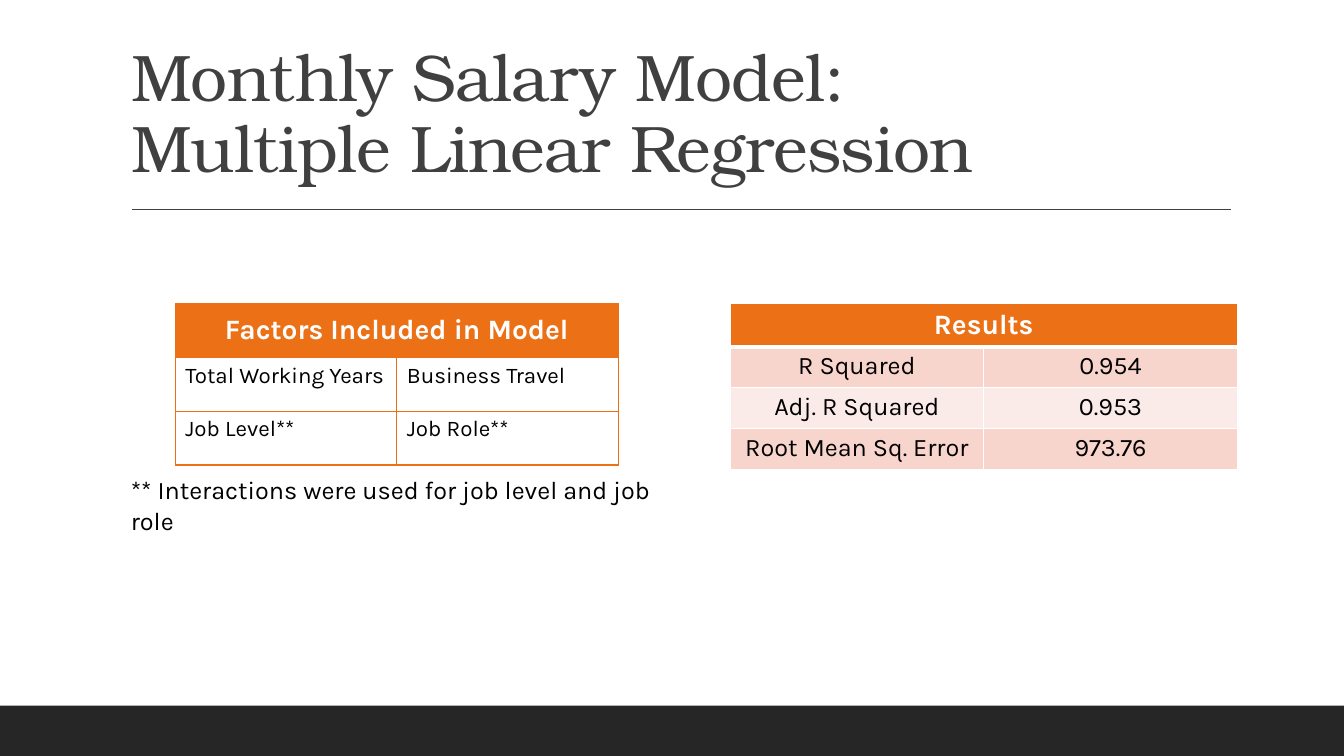
from dataclasses import dataclass
from typing import Optional

from lxml.etree import SubElement
from pptx import Presentation
from pptx.dml.color import RGBColor
from pptx.enum.shapes import MSO_CONNECTOR, MSO_SHAPE
from pptx.enum.text import MSO_ANCHOR, MSO_AUTO_SIZE, PP_ALIGN
from pptx.oxml.ns import qn
from pptx.slide import Slide
from pptx.table import _Cell as Cell
from pptx.text.text import _Paragraph as Paragraph
from pptx.util import Pt

WHITE = RGBColor(0xFF, 0xFF, 0xFF)
BLACK = RGBColor(0x00, 0x00, 0x00)
CHARCOAL = RGBColor(0x26, 0x26, 0x26)
GREY = RGBColor(0x40, 0x40, 0x40)
ORANGE = RGBColor(0xEC, 0x70, 0x16)
PINK = RGBColor(0xF8, 0xD5, 0xCC)
PALE_PINK = RGBColor(0xFB, 0xEB, 0xE8)

HEADING_FONT = "TeX Gyre Bonum"
BODY_FONT = "Karla"


@dataclass
class TableSpec:
    heading: str
    rows: list[tuple[str, str]]
    left: float
    top: float
    column_width: float
    row_height: float
    border: RGBColor
    heading_rule: float
    text_size: float
    align: PP_ALIGN
    bands: tuple[Optional[RGBColor], ...]


TABLES = [
    TableSpec(
        "Results",
        [("R Squared", "0.954"), ("Adj. R Squared", "0.953"), ("Root Mean Sq. Error", "973.76")],
        521.5, 217, 181.2, 29.2, WHITE, 3, 18, PP_ALIGN.CENTER, (PINK, PALE_PINK),
    ),
    TableSpec(
        "Factors Included in Model",
        [("Total Working Years", "Business Travel"), ("Job Level**", "Job Role**")],
        125.3, 217, 158.2, 38.4, ORANGE, 1, 16, PP_ALIGN.LEFT, (None,),
    ),
]


def format_runs(paragraph: Paragraph, font: str, size: float, color: RGBColor, bold: bool = False) -> None:
    for run in paragraph.runs:
        run.font.name = font
        run.font.size = Pt(size)
        run.font.color.rgb = color
        run.font.bold = bold


def set_borders(cell: Cell, color: RGBColor, top: float, bottom: float) -> None:
    """Draw all four sides; left and right are always 1 pt."""
    properties = cell._tc.get_or_add_tcPr()
    for side, width in (("L", 1), ("R", 1), ("T", top), ("B", bottom)):
        line = SubElement(properties, qn(f"a:ln{side}"), w=str(Pt(width)))
        fill = SubElement(line, qn("a:solidFill"))
        SubElement(fill, qn("a:srgbClr"), val=str(color))


def add_model_table(slide: Slide, spec_: TableSpec) -> None:
    row_count = len(spec_.rows) + 1
    table = slide.shapes.add_table(
        row_count, 2, Pt(spec_.left), Pt(spec_.top),
        Pt(2 * spec_.column_width), Pt(row_count * spec_.row_height),
    ).table
    table.horz_banding = False
    table.cell(0, 0).merge(table.cell(0, 1))

    for row, texts in enumerate([(spec_.heading, ""), *spec_.rows]):
        is_heading = row == 0
        band = ORANGE if is_heading else spec_.bands[(row - 1) % len(spec_.bands)]
        for column, text in enumerate(texts):
            cell = table.cell(row, column)
            set_borders(
                cell, spec_.border,
                top=spec_.heading_rule if row == 1 else 1,
                bottom=spec_.heading_rule if is_heading else 1,
            )
            if band is None:
                cell.fill.background()
            else:
                cell.fill.solid()
                cell.fill.fore_color.rgb = band
            if not text:
                continue
            paragraph = cell.text_frame.paragraphs[0]
            paragraph.text = text
            if is_heading:
                cell.vertical_anchor = MSO_ANCHOR.MIDDLE
                paragraph.alignment = PP_ALIGN.CENTER
                format_runs(paragraph, BODY_FONT, 20, WHITE, bold=True)
            else:
                paragraph.alignment = spec_.align
                format_runs(paragraph, BODY_FONT, spec_.text_size, BLACK)


def add_footer_band(slide: Slide) -> None:
    band = slide.shapes.add_shape(MSO_SHAPE.RECTANGLE, 0, Pt(504), Pt(960), Pt(36))
    band.shadow.inherit = False
    band.fill.solid()
    band.fill.fore_color.rgb = CHARCOAL
    band.line.fill.background()


def add_title_rule(slide: Slide) -> None:
    rule = slide.shapes.add_connector(MSO_CONNECTOR.STRAIGHT, Pt(94.3), Pt(149.5), Pt(879), Pt(149.5))
    rule.line.color.rgb = GREY
    rule.line.width = Pt(1)
    SubElement(rule._element.spPr, qn("a:effectLst"))


def fill_title(slide: Slide) -> None:
    title = slide.shapes.title
    title.left, title.top, title.width, title.height = Pt(86.4), Pt(22.5), Pt(792), Pt(114.5)
    frame = title.text_frame
    frame.word_wrap = True
    frame.auto_size = MSO_AUTO_SIZE.NONE
    frame.vertical_anchor = MSO_ANCHOR.BOTTOM
    heading = frame.paragraphs[0]
    heading.text = "Monthly Salary Model:\nMultiple Linear Regression"
    heading.alignment = PP_ALIGN.LEFT
    heading.line_spacing = 0.9
    format_runs(heading, HEADING_FONT, 47, GREY)
    for run in heading.runs:
        run.font._element.set("spc", "-50")


def add_footnote(slide: Slide) -> None:
    footnote = slide.shapes.add_textbox(Pt(86.4), Pt(335.5), Pt(401), Pt(29))
    frame = footnote.text_frame
    frame.word_wrap = True
    frame.auto_size = MSO_AUTO_SIZE.SHAPE_TO_FIT_TEXT
    frame.text = "** Interactions were used for job level and job role"
    format_runs(frame.paragraphs[0], BODY_FONT, 18, BLACK)


def main() -> None:
    presentation = Presentation()
    presentation.slide_width = Pt(960)
    presentation.slide_height = Pt(540)
    title_only = presentation.slide_layouts[5]
    slide = presentation.slides.add_slide(title_only)

    add_footer_band(slide)
    add_title_rule(slide)
    fill_title(slide)
    for table in TABLES:
        add_model_table(slide, table)
    add_footnote(slide)

    presentation.save("out.pptx")


if __name__ == "__main__":
    main()
